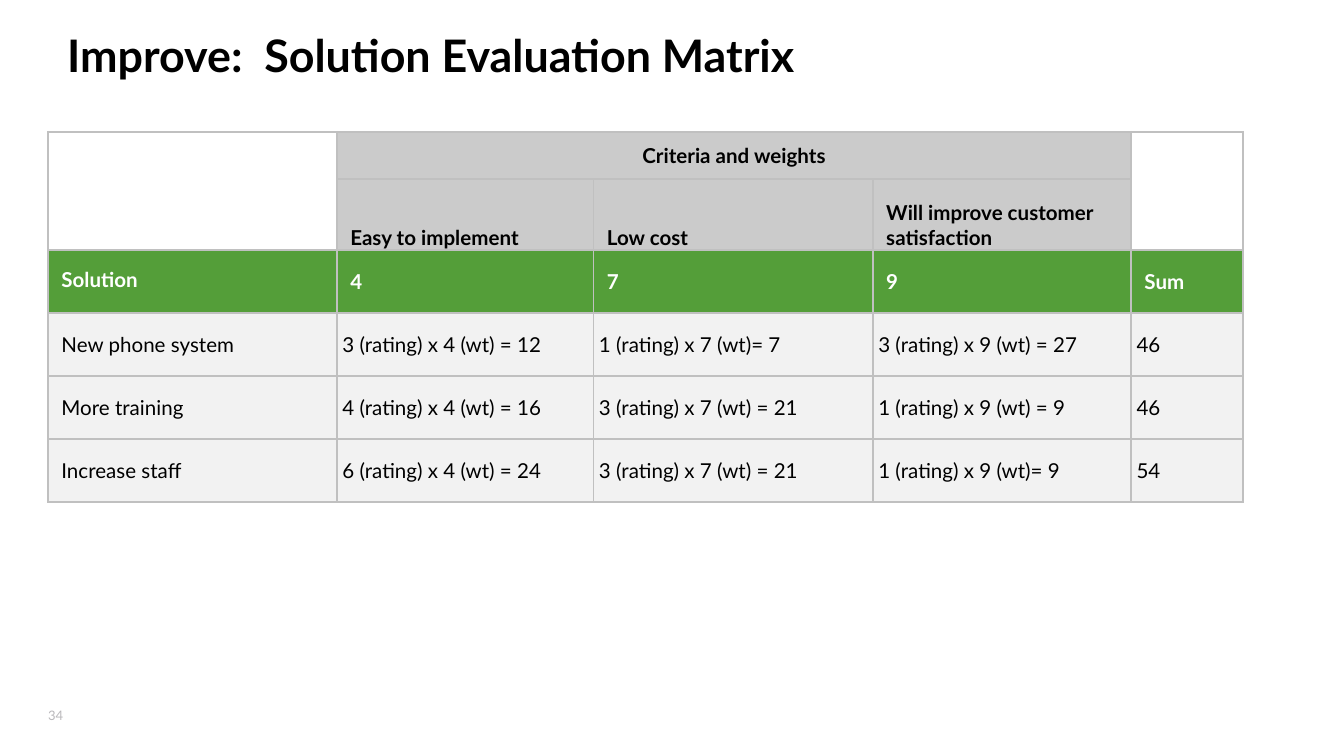
from lxml.etree import SubElement
from pptx import Presentation
from pptx.dml.color import RGBColor
from pptx.enum.text import MSO_ANCHOR, PP_ALIGN
from pptx.oxml.ns import qn
from pptx.util import Cm, Pt

BLACK = RGBColor(0x00, 0x00, 0x00)
WHITE = RGBColor(0xFF, 0xFF, 0xFF)
GREEN = RGBColor(0x54, 0x9E, 0x39)
SILVER = RGBColor(0xCB, 0xCB, 0xCB)
PALE = RGBColor(0xF2, 0xF2, 0xF2)
EDGE = RGBColor(0xC0, 0xC0, 0xC0)
FAINT = RGBColor(0xB9, 0xB8, 0xBB)

COLS = [5.46, 4.85, 5.28, 4.88, 2.11]
ROWS = [0.89, 1.35] + [1.19] * 4
DATA = [
    ["", "Criteria and weights", "", "", ""],
    ["", "Easy to implement", "Low cost", "Will improve customer satisfaction", ""],
    ["Solution", "4", "7", "9", "Sum"],
    ["New phone system", "3 (rating) x 4 (wt) = 12", "1 (rating) x 7 (wt)= 7", "3 (rating) x 9 (wt) = 27", "46"],
    ["More training", "4 (rating) x 4 (wt) = 16", "3 (rating) x 7 (wt) = 21", "1 (rating) x 9 (wt) = 9", "46"],
    ["Increase staff", "6 (rating) x 4 (wt) = 24", "3 (rating) x 7 (wt) = 21", "1 (rating) x 9 (wt)= 9", "54"],
]
HEAD = {"fill": SILVER, "color": BLACK, "bold": True}
WEIGHT = {"fill": GREEN, "color": WHITE, "bold": True}
BODY = {"fill": PALE, "color": BLACK, "bold": False}
STYLES = [HEAD, HEAD, WEIGHT, BODY, BODY, BODY]


def set_all(item, values):
    """Set each named attribute of an item."""
    for name, value in values.items():
        setattr(item, name, value)


def write(part, text, size, color, bold=False):
    """Write one run of formatted text into a paragraph."""
    run = part.add_run()
    run.text = text
    set_all(run.font, {"name": "Lato", "size": Pt(size), "bold": bold})
    run.font.color.rgb = color


def set_frame(frame, anchor):
    """Make a text frame wrap, without margins."""
    set_all(frame, {"margin_left": 0, "margin_right": 0, "margin_top": 0,
                    "margin_bottom": 0, "word_wrap": True,
                    "vertical_anchor": anchor})


def add_title(slide, text):
    """Place and fill the slide title."""
    title = slide.shapes.title
    set_all(title, {"left": Cm(1.27), "top": Cm(0.53),
                    "width": Cm(22.86), "height": Cm(2)})
    set_frame(title.text_frame, MSO_ANCHOR.TOP)
    part = title.text_frame.paragraphs[0]
    part.alignment = PP_ALIGN.LEFT
    write(part, text, 24, BLACK, True)


def add_page(slide, text):
    """Add the page number."""
    box = slide.shapes.add_textbox(Cm(0.91), Cm(13.31), Cm(0.89), Cm(0.41))
    set_frame(box.text_frame, MSO_ANCHOR.MIDDLE)
    write(box.text_frame.paragraphs[0], text, 7, FAINT)


def add_edges(cell):
    """Draw a thin line on each side of a cell."""
    props = cell._tc.get_or_add_tcPr()
    for side in ("a:lnL", "a:lnR", "a:lnT", "a:lnB"):
        line = SubElement(props, qn(side), w=str(Pt(1)))
        fill = SubElement(line, qn("a:solidFill"))
        SubElement(fill, qn("a:srgbClr"), val=str(EDGE))


def fill_cell(cell, text, style, pad, anchor):
    """Format one table cell and write its text."""
    add_edges(cell)
    set_all(cell, {"margin_left": pad, "margin_right": pad, "margin_top": 0,
                   "margin_bottom": 0, "vertical_anchor": anchor})
    if not text:
        cell.fill.background()
        return
    cell.fill.solid()
    cell.fill.fore_color.rgb = style["fill"]
    write(cell.text_frame.paragraphs[0], text, 11, style["color"], style["bold"])


def add_matrix(slide):
    """Add the evaluation table."""
    frame = slide.shapes.add_table(len(ROWS), len(COLS), Cm(0.91), Cm(2.49),
                                   Cm(sum(COLS)), Cm(sum(ROWS)))
    table = frame.table
    set_all(table, {"first_row": False, "horz_banding": False})
    for col, width in zip(table.columns, COLS):
        col.width = Cm(width)
    for row, height in zip(table.rows, ROWS):
        row.height = Cm(height)
    for r, (texts, style) in enumerate(zip(DATA, STYLES)):
        anchor = MSO_ANCHOR.BOTTOM if r == 1 else MSO_ANCHOR.MIDDLE
        for c, text in enumerate(texts):
            pad = Cm(0.1) if style is BODY and c else Cm(0.25)
            fill_cell(table.cell(r, c), text, style, pad, anchor)
    table.cell(2, 0).margin_bottom = Cm(0.1)
    table.cell(0, 1).text_frame.paragraphs[0].alignment = PP_ALIGN.CENTER
    for start, end in (((0, 0), (1, 0)), ((0, 1), (0, 3)), ((0, 4), (1, 4))):
        table.cell(*start).merge(table.cell(*end))


def main():
    """Build and save the slide."""
    deck = Presentation()
    set_all(deck, {"slide_width": Cm(25.4), "slide_height": Cm(14.29)})
    slide = deck.slides.add_slide(deck.slide_layouts[5])
    add_page(slide, "34")
    add_title(slide, "Improve:  Solution Evaluation Matrix")
    add_matrix(slide)
    deck.save("out.pptx")


if __name__ == "__main__":
    main()
